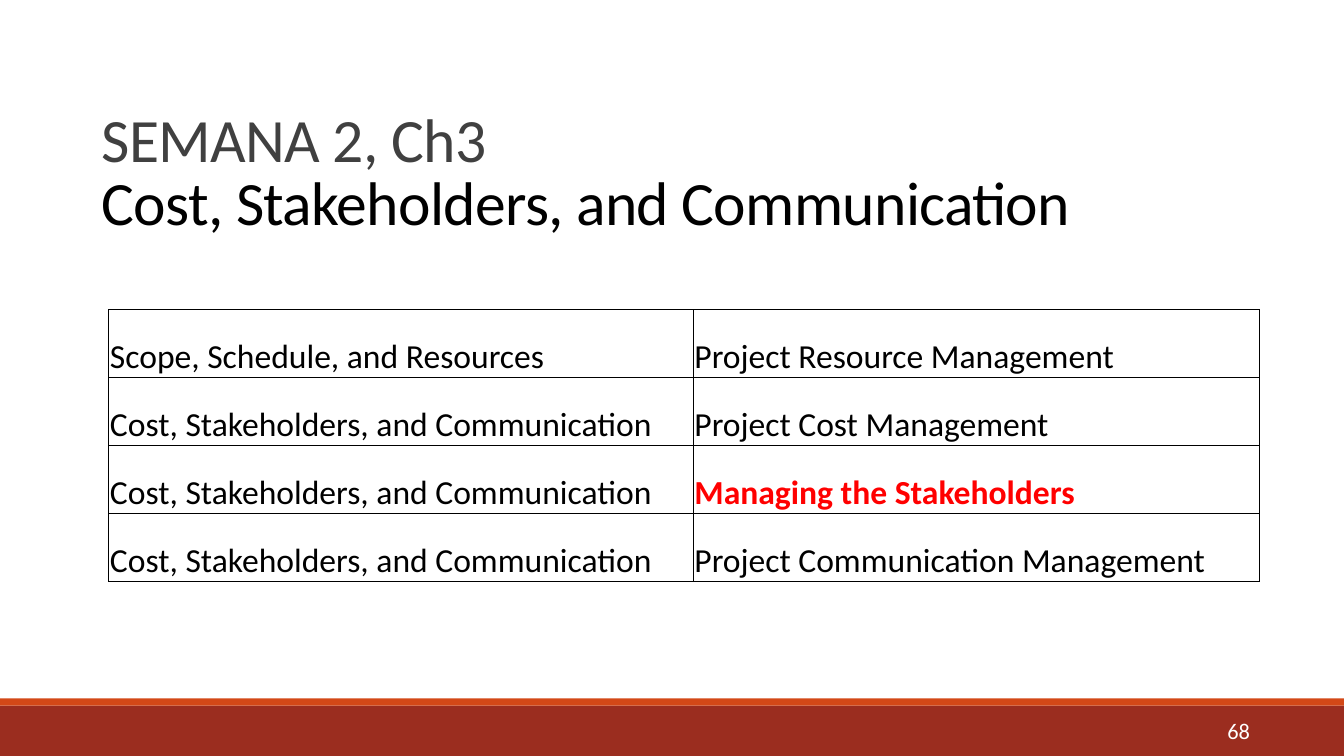
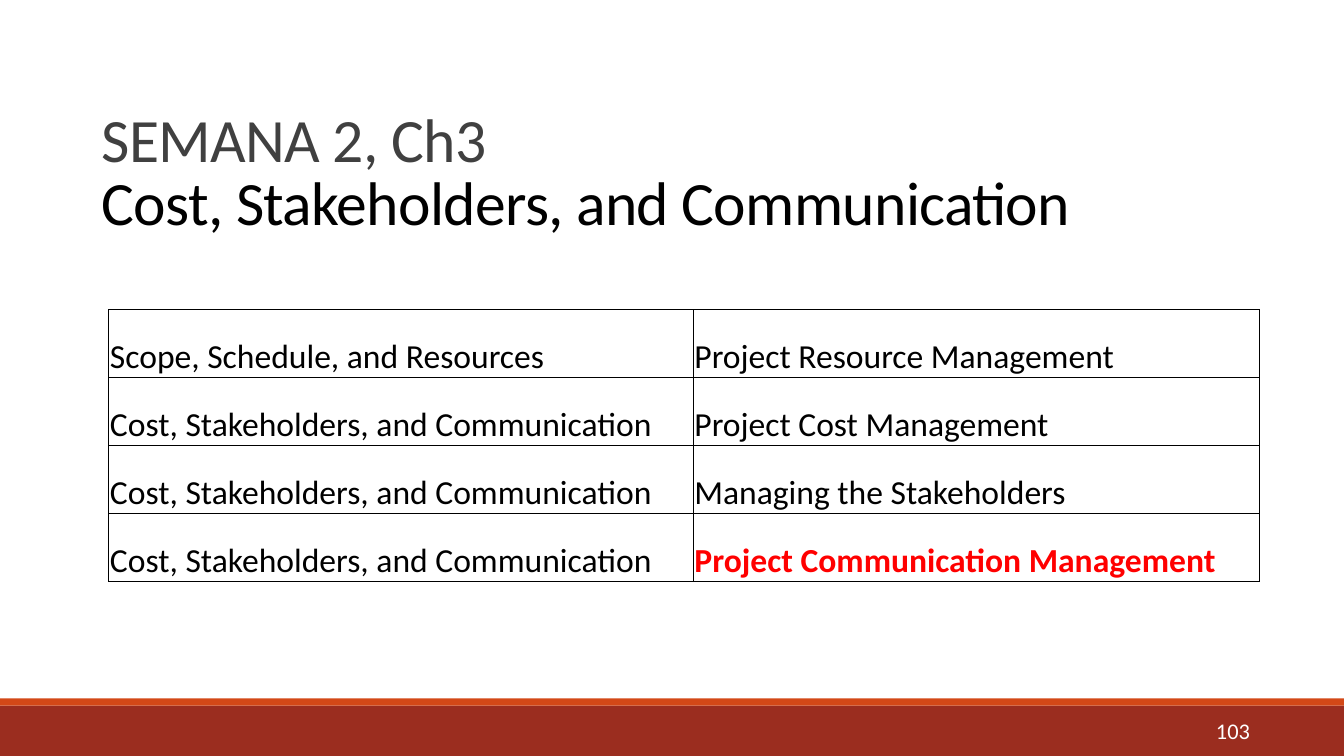
from typing import NamedTuple

import lxml.etree
import pptx
import pptx.dml.color
import pptx.enum.shapes
import pptx.enum.text
import pptx.oxml.ns
import pptx.util

Cm = pptx.util.Cm
Pt = pptx.util.Pt
RGBColor = pptx.dml.color.RGBColor
ANCHOR = pptx.enum.text.MSO_ANCHOR
qn = pptx.oxml.ns.qn

FONT = "Calibri"
BRICK = RGBColor(0x9B, 0x2D, 0x1F)
ORANGE = RGBColor(0xD3, 0x48, 0x17)
GRAY = RGBColor(0x40, 0x40, 0x40)
BLACK = RGBColor(0, 0, 0)
RED = RGBColor(0xFF, 0, 0)
WHITE = RGBColor(0xFF, 0xFF, 0xFF)


class Box(NamedTuple):
    left: int
    top: int
    width: int
    height: int


PAGE = Box(0, 0, Cm(33.87), Cm(19.05))
TITLE_BOX = Box(Cm(2.31), Cm(1.5), Cm(28.68), Cm(5.16))
AGENDA_BOX = Box(Cm(2.74), Cm(7.8), Cm(29), Cm(6.86))
FOOTER_BOX = Box(0, Cm(17.6), PAGE.width, Cm(1.45))

WEEK = "SEMANA 2, Ch3"
CHAPTER = "Cost, Stakeholders, and Communication"
TOPICS = [
    ("Scope, Schedule, and Resources", "Project Resource Management"),
    (CHAPTER, "Project Cost Management"),
    (CHAPTER, "Managing the Stakeholders"),
    (CHAPTER, "Project Communication Management"),
]
# Page number and the topic that comes next
DIVIDERS = [
    (68, "Managing the Stakeholders"),
    (103, "Project Communication Management"),
]


def style_text(paragraph, size, color, bold=False):
    for run in paragraph.runs:
        run.font.name = FONT
        run.font.size = Pt(size)
        run.font.bold = bold
        run.font.color.rgb = color


def add_band(slide, box, color):
    band = slide.shapes.add_shape(pptx.enum.shapes.MSO_SHAPE.RECTANGLE, *box)
    band.shadow.inherit = False
    band.fill.solid()
    band.fill.fore_color.rgb = color
    band.line.fill.background()


def add_footer(slide, box, page_number):
    stripe = Cm(0.18)
    add_band(slide, Box(box.left, box.top + stripe, box.width, box.height - stripe), BRICK)
    add_band(slide, Box(box.left, box.top, box.width, stripe), ORANGE)
    # Page number
    number = slide.shapes.add_textbox(
        box.left + Cm(2.13), box.top + Cm(0.36), Cm(29.62), Cm(0.89)).text_frame
    number.word_wrap = True
    number.vertical_anchor = ANCHOR.MIDDLE
    number.text = str(page_number)
    number.paragraphs[0].alignment = pptx.enum.text.PP_ALIGN.RIGHT
    style_text(number.paragraphs[0], 16, WHITE)


def add_title(slide, box):
    title = slide.shapes.add_textbox(*box).text_frame
    title.word_wrap = True
    title.text = f"{WEEK}\n{CHAPTER}"
    for line, color, spacing in zip(title.paragraphs, (GRAY, BLACK), (1.5, 0.85)):
        line.line_spacing = spacing
        style_text(line, 44, color)
        # Slightly tightened letters
        for run in line.runs:
            run.font._element.set("spc", "-50")


def add_borders(cell):
    properties = cell._tc.get_or_add_tcPr()
    for position, side in enumerate(("lnL", "lnR", "lnT", "lnB")):
        border = lxml.etree.Element(qn(f"a:{side}"), w=str(Pt(0.5)))
        fill = lxml.etree.SubElement(border, qn("a:solidFill"))
        lxml.etree.SubElement(fill, qn("a:srgbClr"), val=str(BLACK))
        properties.insert(position, border)


def add_agenda(slide, box, next_topic):
    agenda = slide.shapes.add_table(len(TOPICS), 2, *box).table
    agenda.first_row = False
    agenda.horz_banding = False
    agenda.columns[0].width = Cm(14.73)
    agenda.columns[1].width = box.width - Cm(14.73)
    for row, texts in enumerate(TOPICS):
        for column, text in enumerate(texts):
            cell = agenda.cell(row, column)
            cell.fill.background()
            add_borders(cell)
            cell.vertical_anchor = ANCHOR.BOTTOM
            cell.margin_left = cell.margin_right = cell.margin_top = Cm(0.03)
            cell.margin_bottom = 0
            cell.text_frame.text = text
            is_next = text == next_topic
            style_text(cell.text_frame.paragraphs[0], 24, RED if is_next else BLACK, is_next)


def add_divider(deck, page_number, next_topic):
    slide = deck.slides.add_slide(deck.slide_layouts[6])
    add_footer(slide, FOOTER_BOX, page_number)
    add_title(slide, TITLE_BOX)
    add_agenda(slide, AGENDA_BOX, next_topic)


def main():
    deck = pptx.Presentation()
    deck.slide_width = PAGE.width
    deck.slide_height = PAGE.height
    for page_number, next_topic in DIVIDERS:
        add_divider(deck, page_number, next_topic)
    deck.save("out.pptx")


if __name__ == "__main__":
    main()
